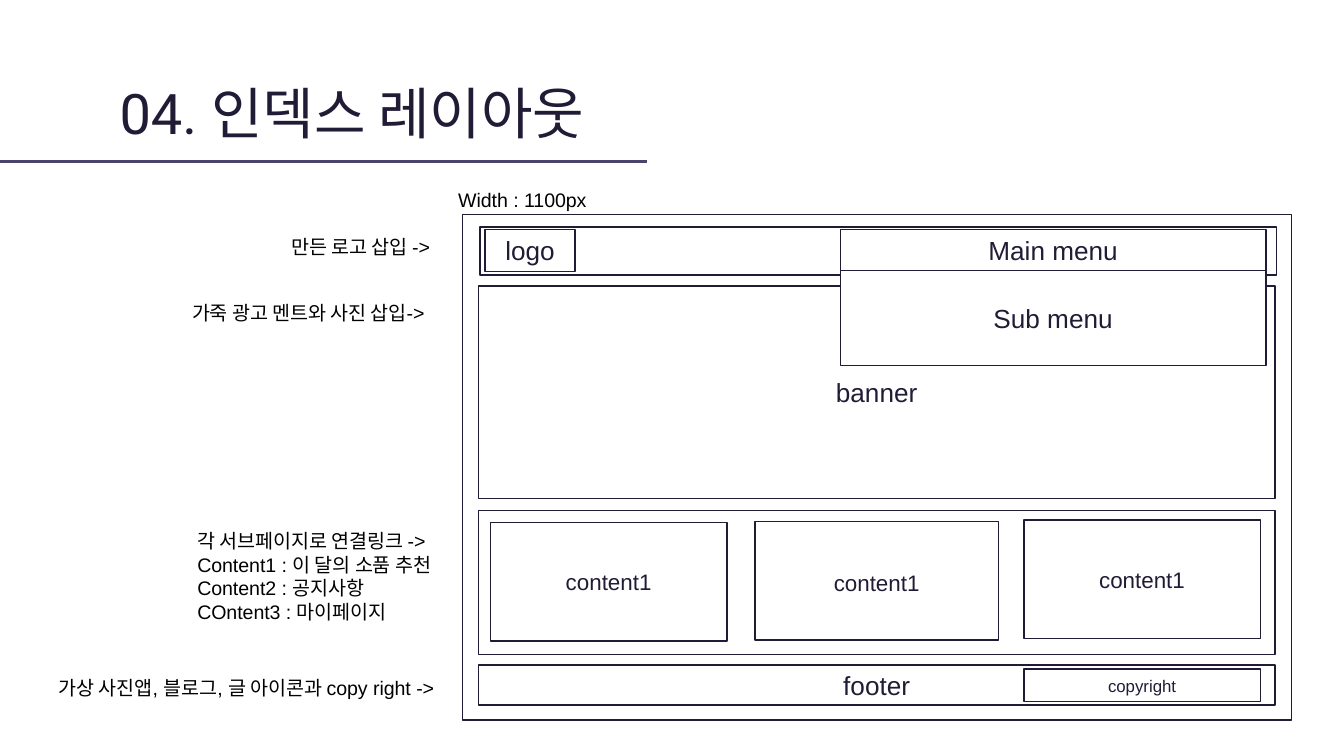
from pptx import Presentation
from pptx.dml.color import RGBColor
from pptx.enum.shapes import MSO_CONNECTOR, MSO_SHAPE
from pptx.enum.text import MSO_ANCHOR, MSO_AUTO_SIZE, PP_ALIGN
from pptx.oxml.ns import qn
from pptx.util import Cm, Pt
from lxml.etree import SubElement

COLORS = {"ink": "221B36", "rule": "4C436B", "note": "000000", "white": "FFFFFF"}

presentation = Presentation()
presentation.slide_width = Cm(25.4)
presentation.slide_height = Cm(14.29)
slide = presentation.slides.add_slide(presentation.slide_layouts[6])


def write(shape, text, size, color, font="Arial", alignment=PP_ALIGN.LEFT):
    shape.text_frame.text = text
    for paragraph in shape.text_frame.paragraphs:
        paragraph.alignment = alignment
        for run in paragraph.runs:
            run.font.name = font
            run.font.size = Pt(size)
            run.font.color.rgb = RGBColor.from_string(COLORS[color])


# Title and the rule below it
title = slide.shapes.add_textbox(Cm(2.01), Cm(1.24), Cm(21.41), Cm(1.6))
title.text_frame.word_wrap = True
title.text_frame.margin_top = title.text_frame.margin_bottom = Cm(0.25)
write(title, "04. 인덱스 레이아웃", 30, "ink", font="Roboto")

rule = slide.shapes.add_connector(MSO_CONNECTOR.STRAIGHT, Cm(0), Cm(3.05), Cm(12.22), Cm(3.05))
rule.line.color.rgb = RGBColor.from_string(COLORS["rule"])
rule.line.width = Pt(1.5)
SubElement(rule._element.spPr, qn("a:effectLst"))

# Wireframe boxes, back to front: left, top, width, height, text, size, fill
section_left, section_width = 9.04, 15.06
menu_left, menu_width = 15.88, 8.05
card_width, card_height = 4.47, 2.24
last_card_left = 19.35
boxes = [
    (8.74, 4.06, 15.67, 9.55, "", 14, None),
    (9.07, 4.29, section_width, 0.91, "", 14, None),
    (9.17, 4.34, 1.7, 0.79, "logo", 14, None),
    (menu_left, 4.34, menu_width, 0.79, "Main menu", 14, None),
    (section_left, 5.41, section_width, 4.01, "banner", 14, None),
    (section_left, 12.57, section_width, 0.76, "footer", 14, None),
    (menu_left, 5.11, menu_width, 1.8, "Sub menu", 14, "white"),
    (section_left, 9.65, section_width, 2.72, "content1", 12, None),
    (9.27, 9.88, card_width, card_height, "content1", 12, None),
    (14.27, 9.86, 4.6, card_height, "", 12, None),
    (last_card_left, 9.83, card_width, card_height, "content1", 12, None),
    (last_card_left, 12.65, card_width, 0.61, "copyright", 9, None),
]
for left, top, width, height, text, size, fill in boxes:
    box = slide.shapes.add_shape(MSO_SHAPE.RECTANGLE, Cm(left), Cm(top), Cm(width), Cm(height))
    box.shadow.inherit = False
    if fill:
        box.fill.solid()
        box.fill.fore_color.rgb = RGBColor.from_string(COLORS[fill])
    else:
        box.fill.background()
    box.line.color.rgb = RGBColor.from_string(COLORS["ink"])
    box.line.width = Pt(0.75)
    if text:
        box.text_frame.vertical_anchor = MSO_ANCHOR.MIDDLE
        write(box, text, size, "ink", alignment=PP_ALIGN.CENTER)

# Notes beside the wireframe: left, top, width, height, text
content_note = "\n".join([
    "각 서브페이지로 연결링크 ->",
    "Content1 : 이 달의 소품 추천",
    "Content2 : 공지사항",
    "COntent3 : 마이페이지",
])
notes = [
    (8.41, 3.43, 3.02, 0.71, "Width : 1100px"),
    (5.26, 4.32, 3.4, 0.71, "만든 로고 삽입 ->"),
    (3.38, 5.56, 5.38, 0.71, "가죽 광고 멘트와 사진 삽입->"),
    (3.48, 9.88, 5.26, 2.06, content_note),
    (0.86, 12.65, 8.03, 0.71, "가상 사진앱, 블로그, 글 아이콘과 copy right ->"),
]
for left, top, width, height, text in notes:
    note = slide.shapes.add_textbox(Cm(left), Cm(top), Cm(width), Cm(height))
    note.text_frame.word_wrap = False
    note.text_frame.auto_size = MSO_AUTO_SIZE.SHAPE_TO_FIT_TEXT
    write(note, text, 10.5, "note")

presentation.save("out.pptx")
